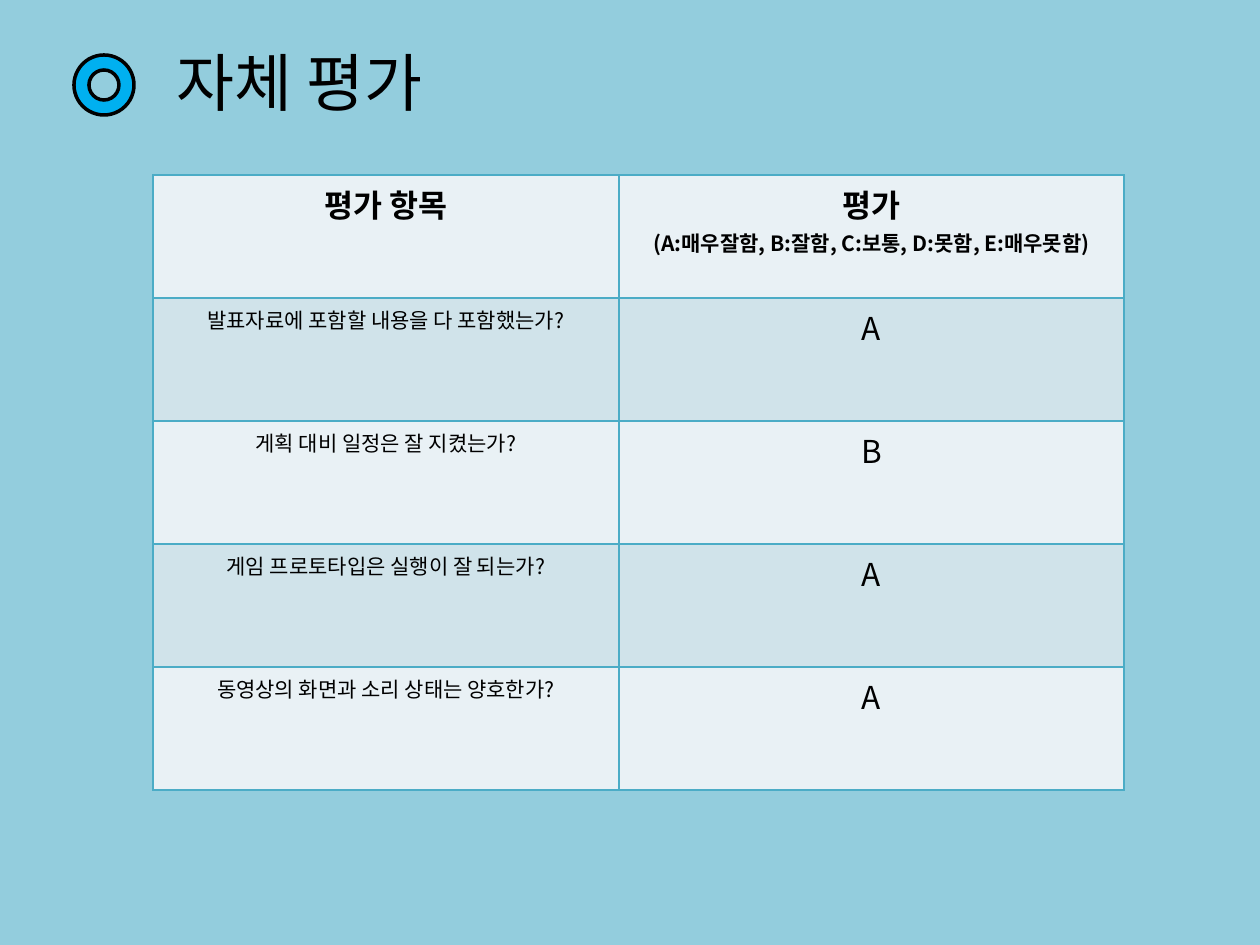
"""Build the self-evaluation slide with its grading table."""
from itertools import cycle

from lxml.etree import SubElement
from pptx import Presentation
from pptx.dml.color import RGBColor
from pptx.enum.shapes import MSO_SHAPE
from pptx.enum.text import MSO_ANCHOR, PP_ALIGN
from pptx.oxml import parse_xml
from pptx.oxml.ns import nsdecls, qn
from pptx.util import Emu, Pt

COLORS = {
    "background": "93CDDD",
    "text": "000000",
    "ring": "00B0F0",
    "border": "4BACC6",
    "light_row": "E9F1F5",
    "dark_row": "D0E3EA",
}
FONT = "Noto Sans CJK KR"
EMU_PER_PX = 914400 / 126

HEADER = [
    [("평가 항목", 18)],
    [("평가", 18), ("(A:매우잘함, B:잘함, C:보통, D:못함, E:매우못함)", 12)],
]
GRADES = [
    ("발표자료에 포함할 내용을 다 포함했는가?", "A"),
    ("게획 대비 일정은 잘 지켰는가?", "B"),
    ("게임 프로토타입은 실행이 잘 되는가?", "A"),
    ("동영상의 화면과 소리 상태는 양호한가?", "A"),
]


def px(length):
    return Emu(round(length * EMU_PER_PX))


def color(name):
    return RGBColor.from_string(COLORS[name])


class SlideBuilder:
    def __init__(self, slide):
        self.slide = slide
        slide.background.fill.solid()
        slide.background.fill.fore_color.rgb = color("background")

    def add_lines(self, frame, lines, bold=False):
        for index, (text, size) in enumerate(lines):
            para = frame.add_paragraph() if index else frame.paragraphs[0]
            para.alignment = PP_ALIGN.CENTER
            span = para.add_run()
            span.text = text
            span.font.size = Pt(size)
            span.font.bold = bold
            span.font.color.rgb = color("text")
            span.font.name = FONT
            SubElement(span.font._element, qn("a:ea"), typeface=FONT)

    def title(self, text, size, left, top, width, height):
        box = self.slide.shapes.title
        box.left, box.top, box.width, box.height = map(px, (left, top, width, height))
        box.text_frame.vertical_anchor = MSO_ANCHOR.MIDDLE
        self.add_lines(box.text_frame, [(text, size)])

    def ring(self, left, top, size):
        ring = self.slide.shapes.add_shape(
            MSO_SHAPE.DONUT, px(left), px(top), px(size), px(size))
        ring.shadow.inherit = False
        ring.fill.solid()
        ring.fill.fore_color.rgb = color("ring")
        ring.line.color.rgb = color("text")
        ring.line.width = Pt(2)

    def borders(self, cell):
        properties = cell._tc.get_or_add_tcPr()
        for index, side in enumerate(("lnL", "lnR", "lnT", "lnB")):
            properties.insert(index, parse_xml(
                f'<a:{side} {nsdecls("a")} w="{Pt(1)}"><a:solidFill>'
                f'<a:srgbClr val="{COLORS["border"]}"/></a:solidFill></a:{side}>'))

    def table(self, rows, left, top, column_widths, row_height):
        table = self.slide.shapes.add_table(
            len(rows), len(column_widths), px(left), px(top),
            px(sum(column_widths)), px(row_height * len(rows))).table
        for column, width in zip(table.columns, column_widths):
            column.width = px(width)
        fills = cycle(("light_row", "dark_row"))
        for index, (row, lines_by_cell, fill) in enumerate(zip(table.rows, rows, fills)):
            row.height = px(row_height)
            for cell, lines in zip(row.cells, lines_by_cell):
                cell.fill.solid()
                cell.fill.fore_color.rgb = color(fill)
                self.borders(cell)
                self.add_lines(cell.text_frame, lines, bold=index == 0)


def main():
    deck = Presentation()
    deck.slide_width, deck.slide_height = px(1260), px(945)
    page = SlideBuilder(deck.slides.add_slide(deck.slide_layouts[5]))
    page.title(" 자체 평가", 36, -1, 3, 587, 157)
    page.ring(74, 55, 60)
    rows = [HEADER] + [[[(question, 12)], [(grade, 18)]] for question, grade in GRADES]
    page.table(rows, 153, 175, (466, 505), 123)
    deck.save("out.pptx")


if __name__ == "__main__":
    main()
